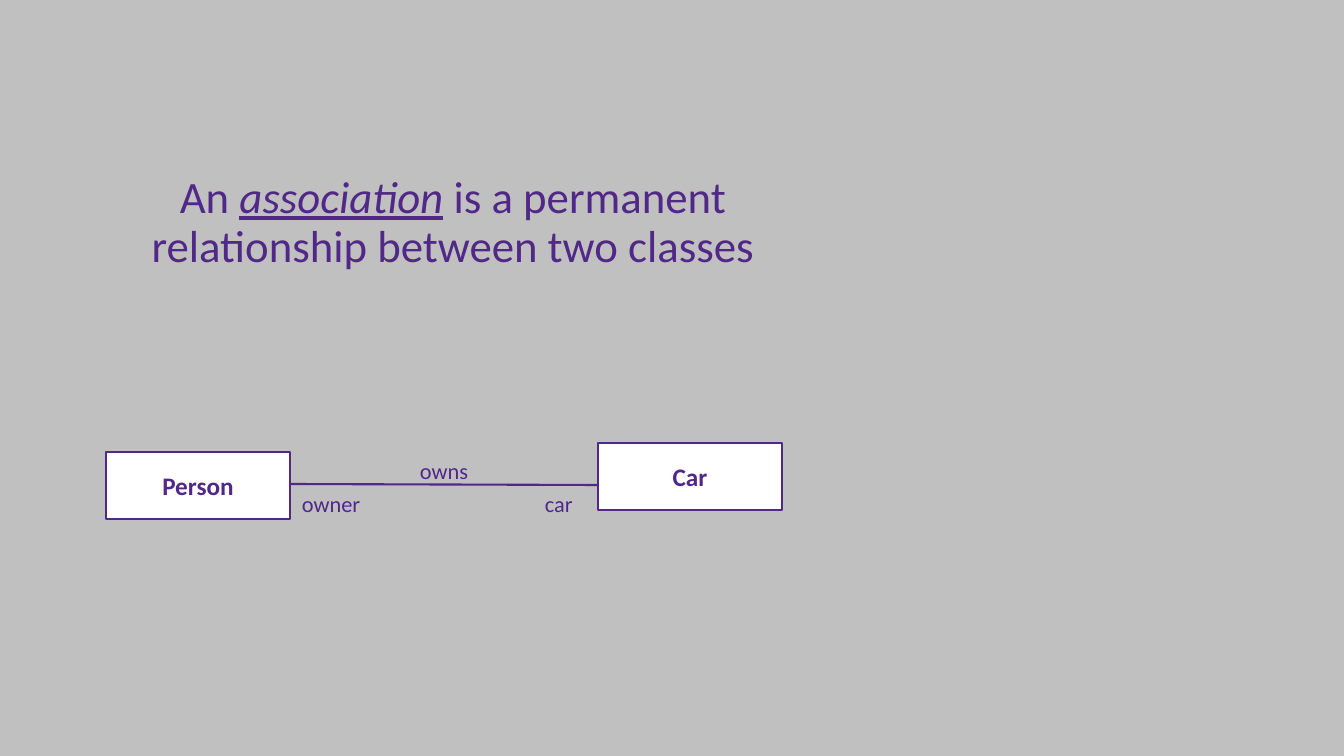
from dataclasses import dataclass

from lxml import etree
from pptx import Presentation
from pptx.dml.color import RGBColor
from pptx.enum.shapes import MSO_CONNECTOR, MSO_SHAPE
from pptx.enum.text import MSO_ANCHOR, PP_ALIGN
from pptx.oxml.ns import qn
from pptx.util import Emu, Pt

RECT = MSO_SHAPE.RECTANGLE
STRAIGHT = MSO_CONNECTOR.STRAIGHT
MIDDLE = MSO_ANCHOR.MIDDLE
LEFT, CENTER = PP_ALIGN.LEFT, PP_ALIGN.CENTER
EMU_PER_PX = 914400 / 100.8


@dataclass(frozen=True)
class Theme:
    font: str = "Calibri"
    background: RGBColor = RGBColor(0xC0, 0xC0, 0xC0)
    ink: RGBColor = RGBColor(0x51, 0x28, 0x88)
    box: RGBColor = RGBColor(0xFF, 0xFF, 0xFF)
    statement_size: int = 32
    class_size: int = 18
    label_size: int = 16
    border: float = 2
    link: float = 1.5


THEME = Theme()


def px(*lengths):
    return [Emu(round(n * EMU_PER_PX)) for n in lengths]


def add_text(p, text, size=THEME.label_size, bold=False, italic=False,
             underline=False, align=LEFT):
    p.alignment = align
    r = p.add_run()
    r.text = text
    font = r.font
    font.name = THEME.font
    font.size = Pt(size)
    font.bold = bold
    font.italic = italic
    font.underline = underline
    font.color.rgb = THEME.ink


def add_text_box(s, x, y, w, h):
    tf = s.shapes.add_textbox(*px(x, y, w, h)).text_frame
    tf.word_wrap = True
    return tf.paragraphs[0]


def add_statement(s, x, y, w, h, before, term, after):
    p = add_text_box(s, x, y, w, h)
    p.line_spacing = 0.9
    size = THEME.statement_size
    add_text(p, before, size=size, align=CENTER)
    add_text(p, term, size=size, italic=True, underline=True, align=CENTER)
    add_text(p, after, size=size, align=CENTER)


def add_class(s, name, x, y, w=184, h=67):
    sp = s.shapes.add_shape(RECT, *px(x, y, w, h))
    sp.shadow.inherit = False
    sp.fill.solid()
    sp.fill.fore_color.rgb = THEME.box
    sp.line.color.rgb = THEME.ink
    sp.line.width = Pt(THEME.border)
    tf = sp.text_frame
    tf.vertical_anchor = MIDDLE
    add_text(tf.paragraphs[0], name, size=THEME.class_size, bold=True, align=CENTER)


def add_link(s, x1, y1, x2, y2):
    line = s.shapes.add_connector(STRAIGHT, *px(x1, y1, x2, y2))
    line.line.color.rgb = THEME.ink
    line.line.width = Pt(THEME.link)
    etree.SubElement(line._element.spPr, qn("a:effectLst"))


def add_label(s, text, x, y, w, h=39, align=LEFT):
    add_text(add_text_box(s, x, y, w, h), text, align=align)


def main():
    prs = Presentation()
    prs.slide_width, prs.slide_height = px(1344, 756)
    s = prs.slides.add_slide(prs.slide_layouts[6])
    s.background.fill.solid()
    s.background.fill.fore_color.rgb = THEME.background

    add_statement(s, 124, 170, 658, 102, "An ", "association",
                  " is a permanent relationship between two classes")
    add_class(s, "Person", 106, 452)
    add_class(s, "Car", 598, 443)
    add_link(s, 290, 484, 598, 485)
    add_label(s, "owns", 350, 452, 188, align=CENTER)
    add_label(s, "owner", 292, 485, 84)
    add_label(s, "car", 535, 485, 84)

    prs.save("out.pptx")


if __name__ == "__main__":
    main()
